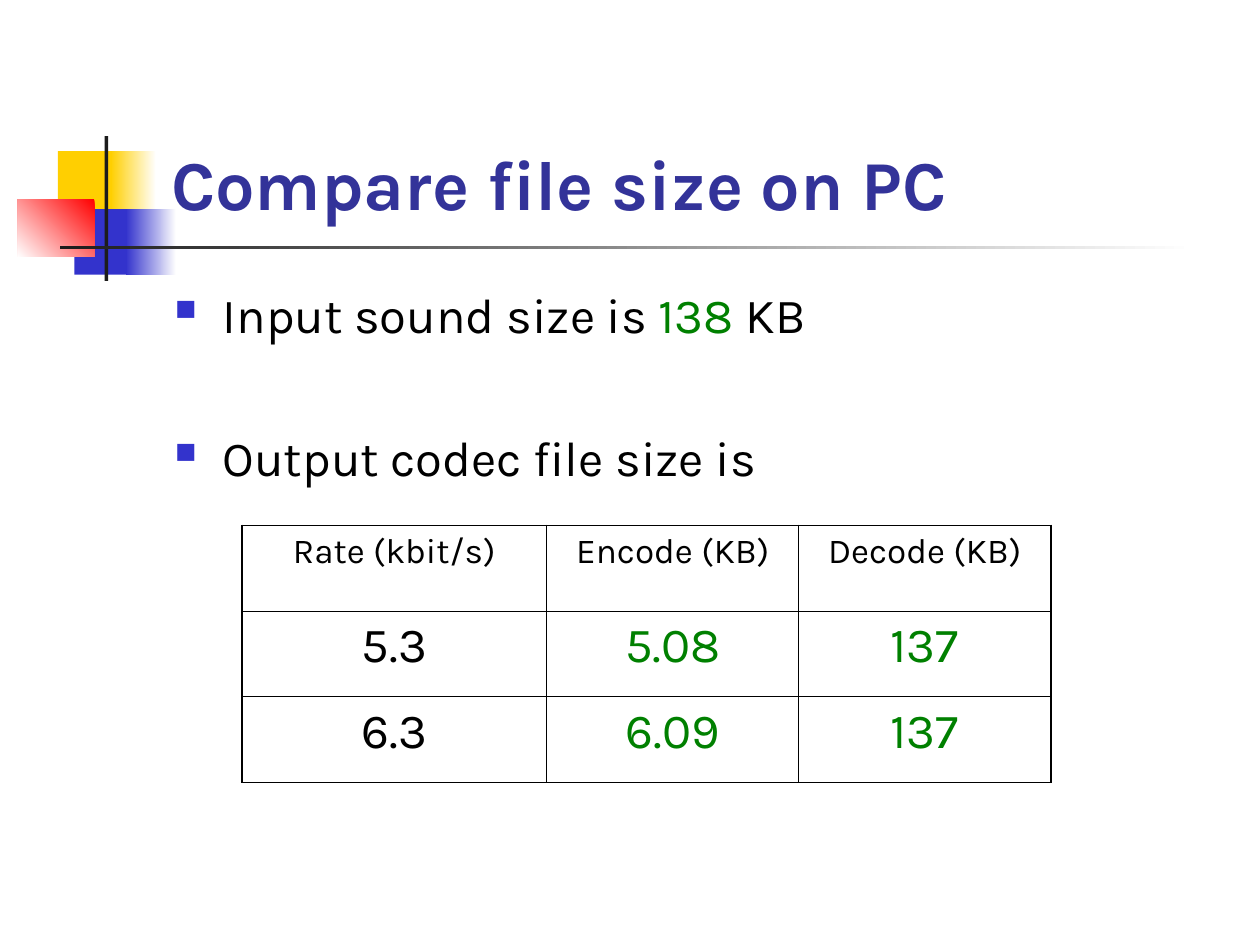
"""Build the slide comparing codec file sizes on a PC."""
from dataclasses import dataclass

from lxml import etree
from pptx import Presentation
from pptx.dml.color import RGBColor
from pptx.enum import shapes, text
from pptx.oxml import ns
from pptx.util import Inches, Pt


@dataclass(frozen=True)
class Theme:
    font: str = "Karla"
    title: str = "333399"
    ink: str = "000000"
    value: str = "008000"
    white: str = "FFFFFF"
    yellow: str = "FFCF01"
    blue: str = "3333CC"
    red: str = "FF0000"
    dark: str = "1C1C1C"
    title_size: int = 40
    body_size: int = 28
    header_size: int = 20
    outer_line: float = 1.08
    inner_line: float = 0.45


THEME = Theme()

TITLE = "Compare file size on PC"
BULLETS = [
    [("Input sound size is ", THEME.ink), ("138", THEME.value), (" KB", THEME.ink)],
    [("Output codec file size is", THEME.ink)],
]
BULLET_GAP = 48
ROWS = [
    ("Rate (kbit/s)", "Encode (KB)", "Decode (KB)"),
    ("5.3", "5.08", "137"),
    ("6.3", "6.09", "137"),
]
COLUMN_WIDTHS = (2.42, 2, 2)
ROW_HEIGHT = 0.68
ORNAMENTS = [
    ((0.46, 1.2, 0.48, 0.52), (THEME.yellow,), None),
    ((0.88, 1.2, 0.36, 0.52), (THEME.white, THEME.yellow), 180),
    ((0.59, 1.66, 0.46, 0.52), (THEME.blue,), None),
    ((1, 1.66, 0.4, 0.52), (THEME.white, THEME.blue), 180),
    ((0.14, 1.58, 0.61, 0.46), (THEME.red, THEME.white), 225),
    ((0.83, 1.08, 0.03, 1.15), (THEME.dark,), None),
    ((0.48, 1.95, 9, 0.03), (THEME.white, THEME.dark), 180),
]


def add_element(parent, tag, **attributes):
    return etree.SubElement(parent, ns.qn(tag), attributes)


def add_ornament(page, place, colors, angle):
    box = page.shapes.add_shape(shapes.MSO_SHAPE.RECTANGLE, *map(Inches, place))
    box.shadow.inherit = False
    box.line.fill.background()
    if angle is None:
        box.fill.solid()
        box.fill.fore_color.rgb = RGBColor.from_string(colors[0])
        return
    box.fill.gradient()
    box.fill.gradient_angle = angle
    for stop, color in zip(box.fill.gradient_stops, colors):
        stop.color.rgb = RGBColor.from_string(color)


def add_frame(page, place, anchor):
    frame = page.shapes.add_textbox(*map(Inches, place)).text_frame
    frame.word_wrap = True
    frame.vertical_anchor = anchor
    return frame


def write(para, content, *, size, color=THEME.ink, bold=False, align=text.PP_ALIGN.LEFT):
    para.alignment = align
    span = para.add_run()
    span.text = content
    span.font.name = THEME.font
    span.font.size = Pt(size)
    span.font.bold = bold
    span.font.color.rgb = RGBColor.from_string(color)


def add_bullet(para):
    properties = para._p.get_or_add_pPr()
    properties.set("marL", str(Inches(0.38)))
    properties.set("indent", str(-Inches(0.38)))
    add_element(add_element(properties, "a:buClr"), "a:srgbClr", val=THEME.blue)
    add_element(properties, "a:buSzPct", val="60000")
    add_element(properties, "a:buChar", char="■")


def add_borders(cell, outer_sides):
    properties = cell._tc.get_or_add_tcPr()
    for side in "LRTB":
        width = THEME.outer_line if side in outer_sides else THEME.inner_line
        line = add_element(properties, f"a:ln{side}", w=str(Pt(width)))
        add_element(add_element(line, "a:solidFill"), "a:srgbClr", val=THEME.ink)


def add_size_table(page):
    place = (1.92, 4.17, sum(COLUMN_WIDTHS), ROW_HEIGHT * len(ROWS))
    table = page.shapes.add_table(
        len(ROWS), len(COLUMN_WIDTHS), *map(Inches, place)).table
    table.first_row = table.horz_banding = False
    for column, width in zip(table.columns, COLUMN_WIDTHS):
        column.width = Inches(width)
    for r, values in enumerate(ROWS):
        table.rows[r].height = Inches(ROW_HEIGHT)
        for c, value in enumerate(values):
            cell = table.cell(r, c)
            edges = {"L": c == 0, "R": c == len(values) - 1,
                     "T": r == 0, "B": r == len(ROWS) - 1}
            add_borders(cell, [side for side, outer in edges.items() if outer])
            cell.fill.background()
            write(cell.text_frame.paragraphs[0], value,
                  size=THEME.body_size if r else THEME.header_size,
                  color=THEME.value if r and c else THEME.ink,
                  align=text.PP_ALIGN.CENTER)


def main():
    deck = Presentation()
    deck.slide_width, deck.slide_height = Inches(10), Inches(7.5)
    page = deck.slides.add_slide(deck.slide_layouts[6])
    for ornament in ORNAMENTS:
        add_ornament(page, *ornament)

    title = add_frame(page, (1.26, 0.23, 8.52, 1.6), text.MSO_ANCHOR.BOTTOM)
    write(title.paragraphs[0], TITLE, size=THEME.title_size, color=THEME.title, bold=True)

    body = add_frame(page, (1.29, 2.21, 7.29, 4.5), text.MSO_ANCHOR.TOP)
    for index, spans in enumerate(BULLETS):
        para = body.add_paragraph() if index else body.paragraphs[0]
        add_bullet(para)
        if index:
            para.space_before = Pt(BULLET_GAP)
        for content, color in spans:
            write(para, content, size=THEME.body_size, color=color)

    add_size_table(page)
    deck.save("out.pptx")


if __name__ == "__main__":
    main()
